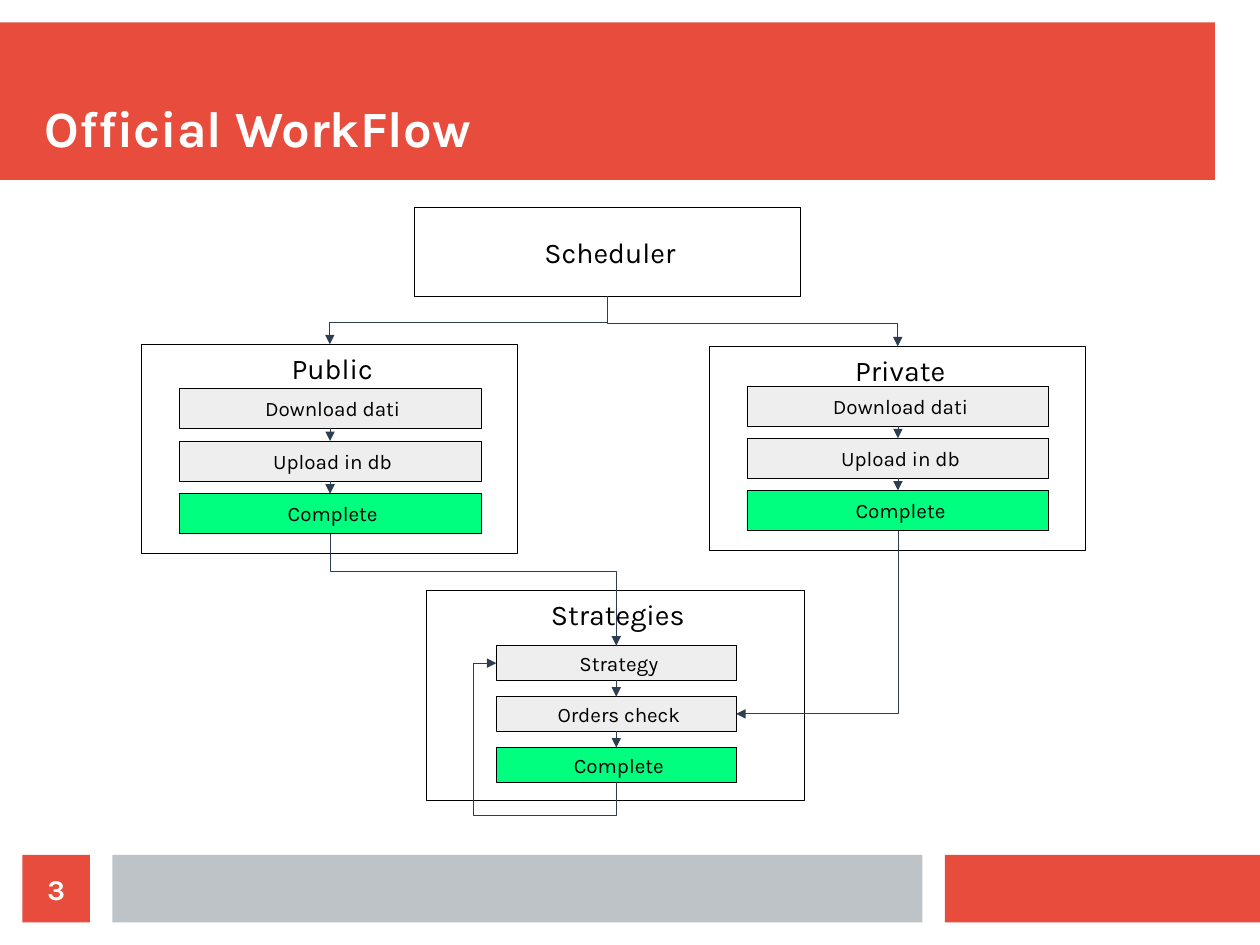
from dataclasses import dataclass

from lxml import etree
from pptx import Presentation
from pptx import util as u
from pptx.dml.color import RGBColor
from pptx.enum import shapes, text
from pptx.oxml.ns import qn


@dataclass(frozen=True)
class Theme:
    font: str = "Karla"
    red: str = "E74C3C"
    grey: str = "BDC3C7"
    white: str = "FFFFFF"
    black: str = "000000"
    step: str = "EEEEEE"
    done: str = "00FF7F"
    arrow: str = "2C3E50"
    title_size: int = 32
    head_size: int = 18
    step_size: int = 13
    line_width: float = 0.5


THEME = Theme()
TOP, LEFT, BOTTOM, RIGHT = range(4)  # connection sites of a rectangle


def rgb(value):
    return RGBColor.from_string(value)


def style_text(tf, size, color, bold=False):
    for p in tf.paragraphs:
        for r in p.runs:
            r.font.name = THEME.font
            r.font.size = u.Pt(size)
            r.font.bold = bold
            r.font.color.rgb = rgb(color)


def set_margins(tf, left, top, right, bottom):
    tf.margin_left, tf.margin_top = u.Cm(left), u.Cm(top)
    tf.margin_right, tf.margin_bottom = u.Cm(right), u.Cm(bottom)


def add_bar(s, box, fill):
    sp = s.shapes.add_shape(shapes.MSO_SHAPE.RECTANGLE, *map(u.Cm, box))
    sp.shadow.inherit = False
    sp.fill.solid()
    sp.fill.fore_color.rgb = rgb(fill)
    sp.line.fill.background()
    return sp


def add_box(s, box, label, size, fill=THEME.white, anchor=text.MSO_ANCHOR.MIDDLE):
    sp = add_bar(s, box, fill)
    sp.line.color.rgb = rgb(THEME.black)
    sp.line.width = u.Pt(THEME.line_width)
    tf = sp.text_frame
    set_margins(tf, 0.36, 0.14, 0.25, 0.14)
    tf.vertical_anchor = anchor
    tf.text = label
    tf.paragraphs[0].alignment = text.PP_ALIGN.CENTER
    style_text(tf, size, THEME.black)
    return sp


def add_arrow(s, target, target_site, source, source_site, preset=None, adjust=()):
    """Draw from target back to source, with the arrowhead at the target."""
    c = s.shapes.add_connector(shapes.MSO_CONNECTOR.STRAIGHT, 0, 0, 0, 0)
    c.begin_connect(target, target_site)
    c.end_connect(source, source_site)
    c.line.color.rgb = rgb(THEME.arrow)
    c.line.width = u.Pt(THEME.line_width)
    etree.SubElement(c.line._get_or_add_ln(), qn("a:headEnd"), type="triangle")
    sp_pr = c._element.spPr
    etree.SubElement(sp_pr, qn("a:effectLst"))
    if preset:
        geom = sp_pr.find(qn("a:prstGeom"))
        geom.set("prst", preset)
        guides = geom.find(qn("a:avLst"))
        for i, value in enumerate(adjust, 1):
            name = f"adj{i}" if len(adjust) > 1 or preset != "bentConnector3" else "adj1"
            etree.SubElement(guides, qn("a:gd"), name=name, fmla=f"val {round(value * 100000)}")
    return c


def add_drop_arrow(s, target, source, bend):
    """Elbow that leaves the source downwards and enters the target from above."""
    c = add_arrow(s, target, TOP, source, BOTTOM, "bentConnector3", (bend,))
    to_right = c.begin_x > c.end_x
    left, top, w, h = c.left, c.top, c.width, c.height
    c.left, c.top = left + (w - h) // 2, top + (h - w) // 2
    c.width, c.height = h, w
    c.rotation = 270
    xfrm = c._element.spPr.find(qn("a:xfrm"))
    xfrm.set("flipH", "0")
    xfrm.set("flipV", "1" if to_right else "0")


def add_stage(s, box, title, labels, inset, step_size, pitch):
    """Framed column of steps; the last one is the completed state."""
    add_box(s, box, title, THEME.head_size, anchor=text.MSO_ANCHOR.TOP)
    left, top = box[0] + inset[0], box[1] + inset[1]
    steps = []
    for i, label in enumerate(labels):
        fill = THEME.done if i == len(labels) - 1 else THEME.step
        place = (left, top + i * pitch, *step_size)
        steps.append(add_box(s, place, label, THEME.step_size, fill))
    for source, target in zip(steps, steps[1:]):
        add_arrow(s, target, TOP, source, BOTTOM)
    return steps


def add_header(s, box):
    left, top, width, height = box
    add_bar(s, box, THEME.red)
    title = s.shapes.title
    s.shapes._spTree.append(title._element)
    title.left, title.top = u.Cm(left + 1), u.Cm(top + 0.5)
    title.width, title.height = u.Cm(width - 1), u.Cm(height - 1)
    tf = title.text_frame
    tf.text = "Official WorkFlow"
    tf.auto_size = text.MSO_AUTO_SIZE.NONE
    tf.vertical_anchor = text.MSO_ANCHOR.BOTTOM
    set_margins(tf, 0, 0, 0, 0)
    tf.paragraphs[0].alignment = text.PP_ALIGN.LEFT
    style_text(tf, THEME.title_size, THEME.white, bold=True)


def add_footer(s, box, number):
    left, top, width, height = box
    add_bar(s, (left + 20.5, top, width - 20.5, height), THEME.red)
    add_bar(s, (left + 2, top, 18, height), THEME.grey)
    tf = add_bar(s, (left, top, height, height), THEME.red).text_frame
    set_margins(tf, 0, 0, 0, 0)
    tf.vertical_anchor = text.MSO_ANCHOR.MIDDLE
    tf.text = number
    tf.paragraphs[0].alignment = text.PP_ALIGN.CENTER
    style_text(tf, THEME.head_size, THEME.white, bold=True)


def add_workflow(s, box):
    x, y = box
    scheduler = add_box(s, (x + 6.07, y, 8.56, 1.96), "Scheduler", THEME.head_size)
    load = ("Download dati", "Upload in db", "Complete")
    public = add_stage(s, (x, y + 3.03, 8.36, 4.64), "Public", load,
                       (0.83, 0.98), (6.71, 0.89), 1.17)
    private = add_stage(s, (x + 12.62, y + 3.08, 8.36, 4.53), "Private", load,
                        (0.83, 0.88), (6.71, 0.89), 1.16)
    strategies = add_stage(s, (x + 6.32, y + 8.51, 8.41, 4.65), "Strategies",
                           ("Strategy", "Orders check", "Complete"),
                           (1.56, 1.22), (5.33, 0.77), 1.13)
    strategy, orders, complete = strategies

    frames = [sp for sp in s.shapes if sp.has_text_frame]
    for name in ("Public", "Private"):
        frame = next(sp for sp in frames if sp.text_frame.text == name)
        add_drop_arrow(s, frame, scheduler, 0.46)
    add_drop_arrow(s, strategy, public[-1], 0.66)
    add_arrow(s, strategy, LEFT, complete, BOTTOM, "bentConnector4", (-0.19, 1.28))
    add_arrow(s, orders, RIGHT, private[-1], BOTTOM, "bentConnector2")


def main():
    prs = Presentation()
    prs.slide_width, prs.slide_height = u.Cm(28), u.Cm(21)
    s = prs.slides.add_slide(prs.slide_layouts[5])
    add_header(s, (0, 0.5, 27, 3.5))
    add_workflow(s, (3.15, 4.62))
    add_footer(s, (0.5, 19, 27.5, 1.5), "3")
    prs.save("out.pptx")


if __name__ == "__main__":
    main()
